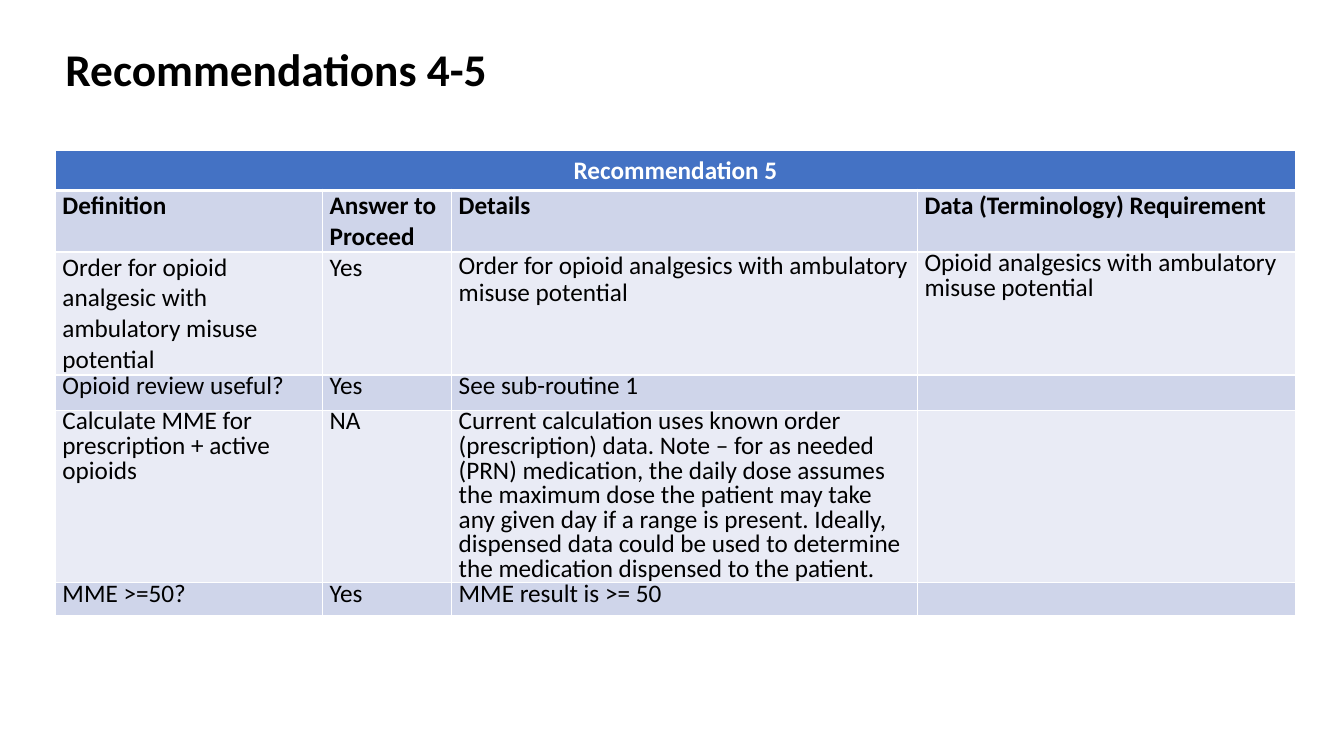
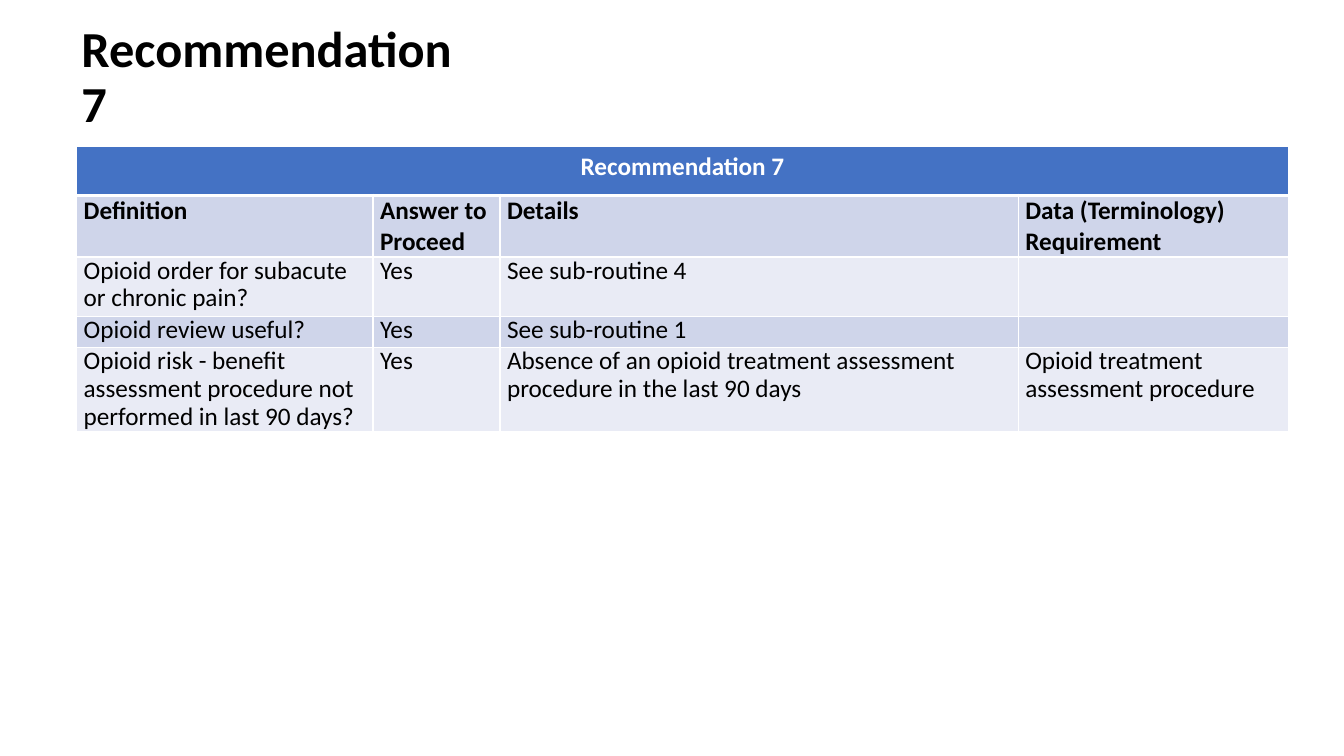
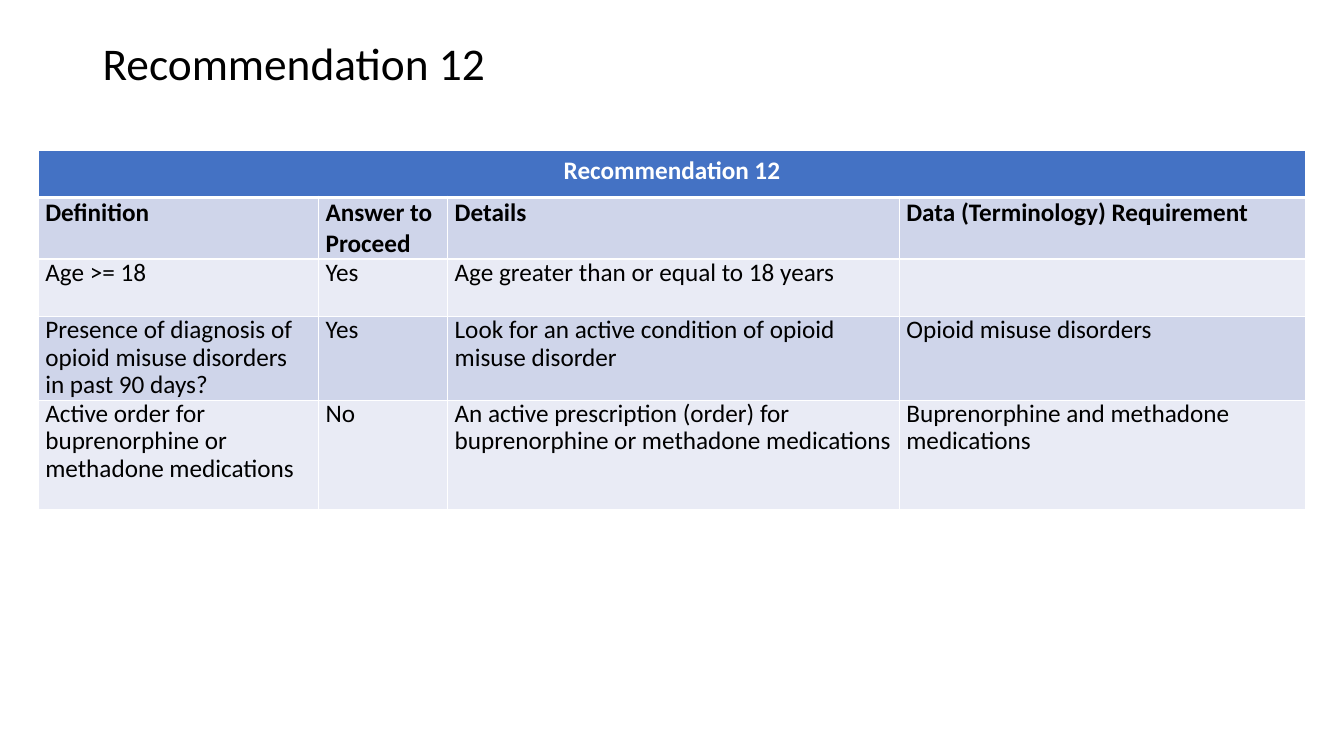
from dataclasses import dataclass

from lxml.etree import SubElement
from pptx import Presentation
from pptx.dml.color import RGBColor
from pptx.enum.text import MSO_ANCHOR as Anchor, PP_ALIGN as Align
from pptx.oxml.ns import qn
from pptx.util import Inches, Pt

FONT = "Calibri"
BLACK, WHITE, BLUE = "000000", "FFFFFF", "4472C4"
BANDS = ("CFD5EA", "E9EBF5")
HEADINGS = ("Definition", "Answer to Proceed", "Details", "Data (Terminology) Requirement")
HEADINGS_HEIGHT = 0.61


@dataclass
class Step:
    height: float
    texts: tuple
    spacings: tuple = (0.9,) * 4


def rgb(value):
    return RGBColor.from_string(value)


def write_text(frame, text, size=18, color=BLACK, bold=False, align=Align.LEFT, spacing=1.0):
    paragraph = frame.paragraphs[0]
    paragraph.alignment = align
    paragraph.line_spacing = spacing
    run = paragraph.add_run()
    run.text = text
    run.font.name = FONT
    run.font.size = Pt(size)
    run.font.bold = bold
    run.font.color.rgb = rgb(color)


def add_title(slide, text, left, width, height, size=32.4, bold=True):
    title = slide.shapes.add_textbox(Inches(left), Inches(0.4), Inches(width), Inches(height))
    frame = title.text_frame
    frame.word_wrap = True
    frame.vertical_anchor = Anchor.MIDDLE
    write_text(frame, text, size=size, bold=bold, spacing=0.9)


def set_borders(cell, top=1, bottom=1):
    properties = cell._tc.get_or_add_tcPr()
    edges = (("a:lnL", 1), ("a:lnR", 1), ("a:lnT", top), ("a:lnB", bottom))
    for edge, width in edges:
        line = SubElement(properties, qn(edge), w=str(Pt(width)))
        fill = SubElement(line, qn("a:solidFill"))
        SubElement(fill, qn("a:srgbClr"), val=WHITE)


def style_cell(cell, fill, **borders):
    set_borders(cell, **borders)
    cell.fill.solid()
    cell.fill.fore_color.rgb = rgb(fill)


def fill_cell(cell, text, fill, top=1, **text_format):
    style_cell(cell, fill, top=top)
    cell.margin_left = cell.margin_right = Inches(0.07)
    cell.margin_top = cell.margin_bottom = 0
    if text:
        write_text(cell.text_frame, text, **text_format)


def add_recommendation(slide, banner, left, top, widths, banner_height, steps):
    heights = [banner_height, HEADINGS_HEIGHT] + [step.height for step in steps]
    table = slide.shapes.add_table(
        len(heights), len(widths), Inches(left), Inches(top),
        Inches(sum(widths)), Inches(sum(heights))).table
    for column, width in zip(table.columns, widths):
        column.width = Inches(width)
    for row, height in zip(table.rows, heights):
        row.height = Inches(height)

    for cell in table.rows[0].cells:
        style_cell(cell, BLUE, bottom=3)
    table.cell(0, 0).merge(table.cell(0, len(widths) - 1))
    write_text(table.cell(0, 0).text_frame, banner, color=WHITE, bold=True, align=Align.CENTER)

    for cell, heading in zip(table.rows[1].cells, HEADINGS):
        fill_cell(cell, heading, BANDS[0], top=3, bold=True)
    for index, step in enumerate(steps, start=1):
        cells = table.rows[index + 1].cells
        for cell, text, spacing in zip(cells, step.texts, step.spacings):
            fill_cell(cell, text, BANDS[index % 2], spacing=spacing)


def main():
    deck = Presentation()
    deck.slide_width, deck.slide_height = Inches(13.33), Inches(7.5)
    blank = deck.slide_layouts[6]
    tight = (0.8,) * 4

    slide = deck.slides.add_slide(blank)
    add_title(slide, "Recommendations 4-5", 0.55, 4.93, 0.62)
    add_recommendation(slide, "Recommendation 5", 0.55, 1.49, (2.65, 1.28, 4.62, 3.75), 0.38, [
        Step(1.22, ("Order for opioid analgesic with ambulatory misuse potential", "Yes",
                    "Order for opioid analgesics with ambulatory misuse potential",
                    "Opioid analgesics with ambulatory misuse potential"), (1.0, 1.0, 0.9, 0.8)),
        Step(0.35, ("Opioid review useful?", "Yes", "See sub-routine 1", ""), tight),
        Step(1.71, ("Calculate MME for prescription + active opioids", "NA",
                    "Current calculation uses known order (prescription) data. Note – for as "
                    "needed (PRN) medication, the daily dose assumes the maximum dose the "
                    "patient may take any given day if a range is present. Ideally, dispensed "
                    "data could be used to determine the medication dispensed to the patient.",
                    ""), tight),
        Step(0.33, ("MME >=50?", "Yes", "MME result is >= 50", ""), tight),
    ])

    slide = deck.slides.add_slide(blank)
    add_title(slide, "Recommendation 7", 0.71, 4.21, 0.76, size=36)
    add_recommendation(slide, "Recommendation 7", 0.76, 1.45, (2.94, 1.26, 5.14, 2.68), 0.49, [
        Step(0.59, ("Opioid order for subacute or chronic pain?", "Yes", "See sub-routine 4", "")),
        Step(0.31, ("Opioid review useful?", "Yes", "See sub-routine 1", "")),
        Step(0.83, ("Opioid risk - benefit assessment procedure not performed in last 90 days?",
                    "Yes",
                    "Absence of an opioid treatment assessment procedure in the last 90 days",
                    "Opioid treatment assessment procedure")),
    ])

    slide = deck.slides.add_slide(blank)
    add_title(slide, "Recommendation 12", 0.92, 11.5, 0.51, bold=False)
    add_recommendation(slide, "Recommendation 12", 0.38, 1.49, (2.78, 1.28, 4.48, 4.03), 0.47, [
        Step(0.57, ("Age >= 18", "Yes", "Age greater than or equal to 18 years", "")),
        Step(0.83, ("Presence of diagnosis of opioid misuse disorders in past 90 days?", "Yes",
                    "Look for an active condition of opioid misuse disorder",
                    "Opioid misuse disorders")),
        Step(1.09, ("Active order for buprenorphine or methadone medications", "No",
                    "An active prescription (order) for buprenorphine or methadone medications",
                    "Buprenorphine and methadone medications")),
    ])

    deck.save("out.pptx")


if __name__ == "__main__":
    main()
